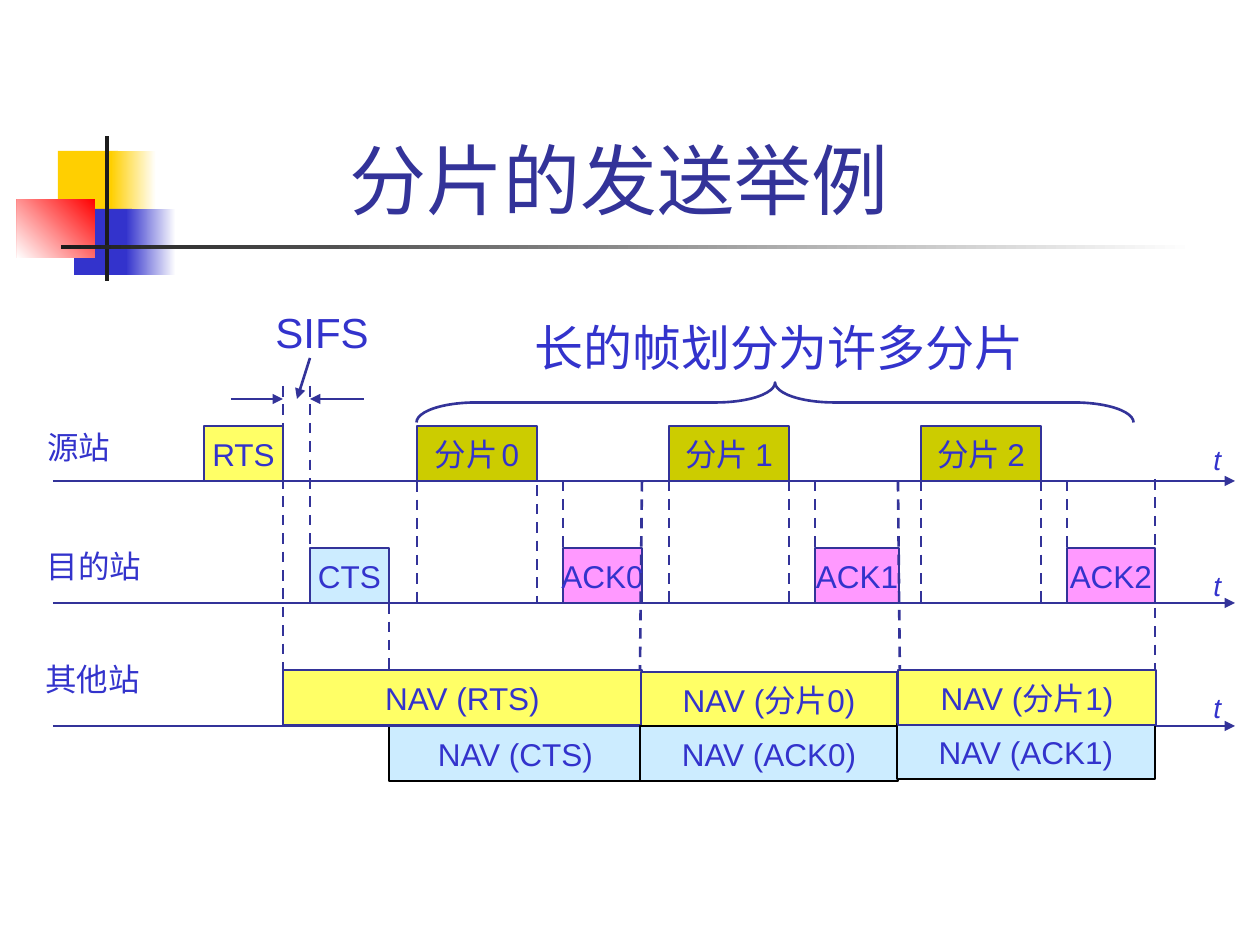
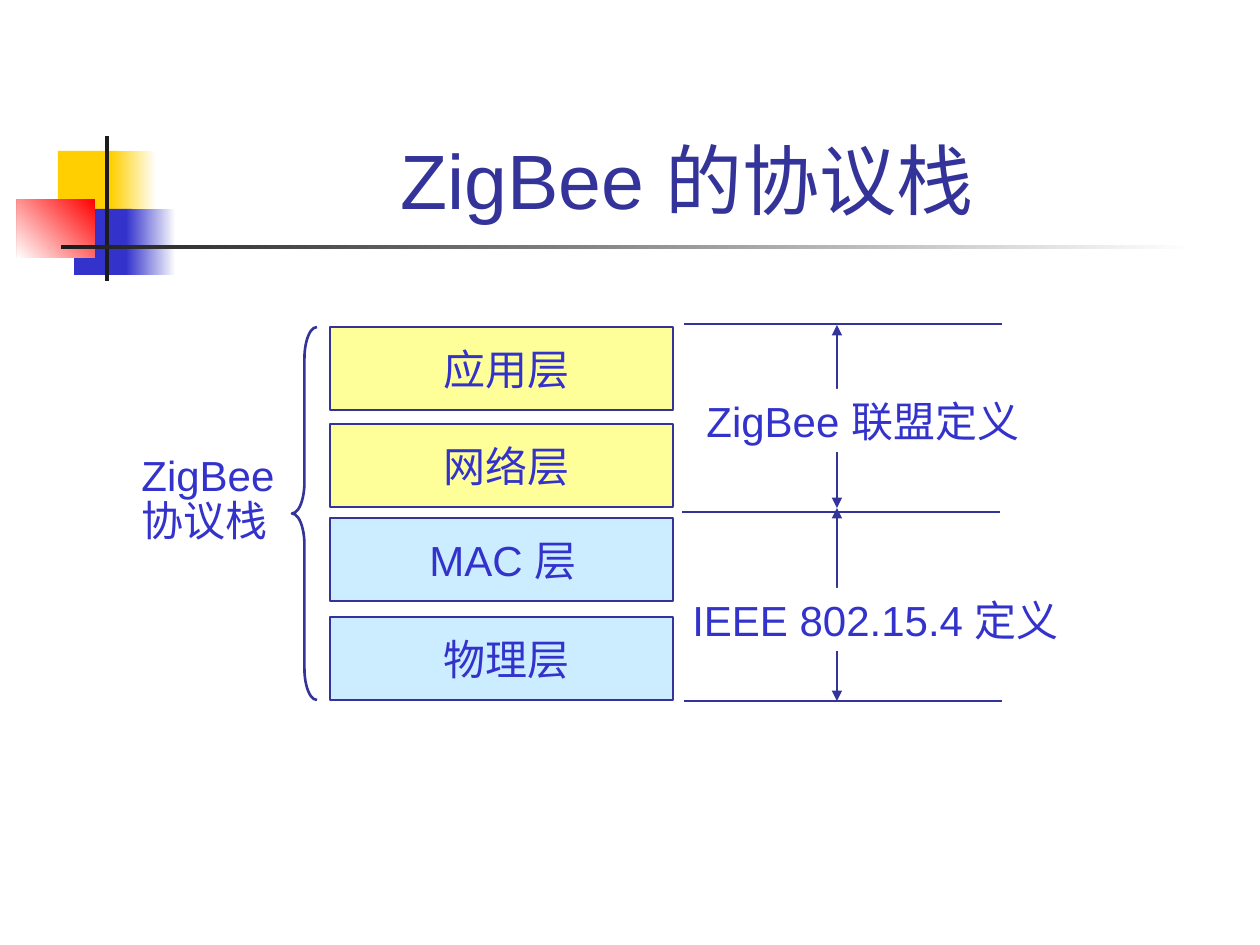
from lxml.etree import SubElement
from pptx import Presentation
from pptx.dml.color import RGBColor
from pptx.enum.dml import MSO_LINE
from pptx.enum.shapes import MSO_CONNECTOR, MSO_SHAPE
from pptx.enum.text import MSO_ANCHOR, PP_ALIGN
from pptx.oxml.ns import qn
from pptx.util import Emu, Inches, Pt

PIXELS_PER_INCH = 126
FONT = "Arial"

NAVY = RGBColor(0x33, 0x33, 0x99)
BLUE = RGBColor(0x33, 0x33, 0xCC)
GOLD = RGBColor(0xFF, 0xCF, 0x01)
RED = RGBColor(0xFF, 0x00, 0x00)
INK = RGBColor(0x1C, 0x1C, 0x1C)
BLACK = RGBColor(0x00, 0x00, 0x00)
WHITE = RGBColor(0xFF, 0xFF, 0xFF)
YELLOW = RGBColor(0xFF, 0xFF, 0x66)
PALE_YELLOW = RGBColor(0xFF, 0xFF, 0x99)
PALE_BLUE = RGBColor(0xCC, 0xEC, 0xFF)
OLIVE = RGBColor(0xCC, 0xCC, 0x00)
PINK = RGBColor(0xFF, 0x99, 0xFF)


def px(pixels):
    return Emu(round(pixels * Inches(1) / PIXELS_PER_INCH))


# Elements

def write(frame, lines, size=18, color=BLUE, align=PP_ALIGN.LEFT, anchor=MSO_ANCHOR.TOP,
          italic=False, wrap=True, spacing=None):
    """Each line is a string or a list of (text, size) spans."""
    frame.word_wrap = wrap
    frame.vertical_anchor = anchor
    for index, line in enumerate(lines):
        para = frame.paragraphs[0] if index == 0 else frame.add_paragraph()
        para.alignment = align
        para.line_spacing = spacing
        spans = [(line, size)] if isinstance(line, str) else line
        for text, span_size in spans:
            span = para.add_run()
            span.text = text
            span.font.name = FONT
            span.font.size = Pt(span_size)
            span.font.color.rgb = color
            span.font.italic = italic


def add_label(page, left, top, width, height, *lines, fill=None, **text_format):
    box = page.shapes.add_textbox(px(left), px(top), px(width), px(height))
    if fill is not None:
        box.fill.solid()
        box.fill.fore_color.rgb = fill
    write(box.text_frame, lines, **text_format)
    # Narrow side margins leave each line room to stay whole
    box.text_frame.margin_right = 0
    if text_format.get("align") == PP_ALIGN.CENTER:
        box.text_frame.margin_left = 0


def add_box(page, left, top, width, height, fill, line=NAVY, label=None):
    box = page.shapes.add_shape(MSO_SHAPE.RECTANGLE, px(left), px(top), px(width), px(height))
    box.shadow.inherit = False
    box.fill.solid()
    box.fill.fore_color.rgb = fill
    if line is None:
        box.line.fill.background()
    else:
        box.line.color.rgb = line
        box.line.width = Pt(0.74)
    if label:
        write(box.text_frame, [label], align=PP_ALIGN.CENTER, anchor=MSO_ANCHOR.MIDDLE,
              wrap=False)
    return box


def add_gradient(page, left, top, width, height, start, end, angle=180):
    box = add_box(page, left, top, width, height, start, line=None)
    box.fill.gradient()
    box.fill.gradient_angle = angle
    for stop, color in zip(box.fill.gradient_stops, (start, end)):
        stop.color.rgb = color


def add_line(page, x1, y1, x2, y2, dashed=False, ends=()):
    line = page.shapes.add_connector(MSO_CONNECTOR.STRAIGHT, px(x1), px(y1), px(x2), px(y2))
    line.line.color.rgb = NAVY
    line.line.width = Pt(1.5)
    if dashed:
        line.line.dash_style = MSO_LINE.DASH
    outline = line.line._get_or_add_ln()
    for end in ends:
        SubElement(outline, qn(f"a:{end}"), type="triangle")
    SubElement(line._element.spPr, qn("a:effectLst"))


def add_brace(page, left, top, width, height, curve, rotation=0):
    brace = page.shapes.add_shape(MSO_SHAPE.LEFT_BRACE, px(left), px(top), px(width), px(height))
    brace.shadow.inherit = False
    brace.fill.background()
    brace.line.color.rgb = NAVY
    brace.line.width = Pt(1.5)
    brace.adjustments[0] = curve
    brace.rotation = rotation


def add_page(deck, title, title_width):
    """A blank page with the shared ornament and title."""
    page = deck.slides.add_slide(deck.slide_layouts[6])
    add_box(page, 58, 151, 60, 66, GOLD, line=None)
    add_gradient(page, 111, 151, 45, 66, WHITE, GOLD)
    add_box(page, 74, 209, 58, 66, BLUE, line=None)
    add_gradient(page, 126, 209, 50, 66, WHITE, BLUE)
    add_gradient(page, 17, 199, 78, 59, RED, WHITE, angle=225)
    add_box(page, 105, 136, 4, 145, INK, line=None)
    add_gradient(page, 61, 245, 1134, 4, WHITE, INK)
    add_label(page, 159, 29, title_width, 202, title, size=44, color=NAVY,
              align=PP_ALIGN.CENTER, anchor=MSO_ANCHOR.BOTTOM)
    return page


# Slide 1: timing of a fragmented frame

def build_fragment_timing(deck):
    page = add_page(deck, "分片的发送举例 ", 937)
    source, target, others = 481, 603, 726
    box_height, period = 55, 252
    first_fragment, fragment_width, first_ack = 417, 120, 563

    # Station names and time axis names
    for left, top, width, name in ((35, 422, 88, "源站"), (34, 541, 120, "目的站"),
                                   (26, 654, 126, " 其他站")):
        add_label(page, left, top, width, 50, name, align=PP_ALIGN.CENTER)
    for top in (436, 562, 684):
        add_label(page, 1201, top, 33, 47, "t", size=16, italic=True)

    # Frames
    add_box(page, 204, source - box_height, 79, box_height, YELLOW, label="RTS")
    add_box(page, 310, target - box_height, 79, box_height, PALE_BLUE, label="CTS")
    fragment_names = ([("分片", 18), (" ", 10), ("0", 18)], "分片 1", "分片 2")
    for index, (name, ack_width) in enumerate(zip(fragment_names, (79, 84, 88))):
        add_box(page, first_fragment + index * period, source - box_height,
                fragment_width, box_height, OLIVE, label=name)
        add_box(page, first_ack + index * period, target - box_height,
                ack_width, box_height, PINK, label=f"ACK{index}")

    # Dashed time marks
    marks = [(283, 386, 283, 671), (310, 386, 310, target), (389, 548, 389, 671),
             (642, source, 640, 670), (898, source, 900, 683), (1155, 479, 1155, 670)]
    for index in range(3):
        start = first_fragment + index * period
        end = start + fragment_width
        ack = first_ack + index * period
        marks += [(start, source if index else 426, start, target),
                  (end, source if index else 467, end, target),
                  (ack, source, ack, target)]
    for mark in marks:
        add_line(page, *mark, dashed=True)

    # SIFS gap and the brace over the fragments
    for arrow in ((231, 399, 283, 399), (364, 399, 310, 399), (310, 358, 297, 399)):
        add_line(page, *arrow, ends=["tailEnd"])
    add_label(page, 263, 300, 118, 63, "SIFS", size=24)
    add_brace(page, 755, 44, 40, 717, 1.48, rotation=90)
    add_label(page, 522, 311, 514, 72, "长的帧划分为许多分片", size=28)

    # NAV periods: the first pair lies under the axes
    periods = (
        (283, 670, 359, YELLOW, NAVY, "NAV (RTS)"),
        (389, 726, 253, PALE_BLUE, BLACK, "NAV (CTS)"),
        (641, 672, 256, YELLOW, NAVY, "NAV (分片0)"),
        (640, 726, 258, PALE_BLUE, BLACK, "NAV (ACK0)"),
        (897, 724, 258, PALE_BLUE, BLACK, "NAV (ACK1)"),
        (898, 670, 258, YELLOW, NAVY, "NAV (分片1)"),
    )
    for index, (left, top, width, fill, line, name) in enumerate(periods):
        if index == 2:
            for axis in (others, target, source):
                add_line(page, 53, axis, 1235, axis, ends=["tailEnd"])
        add_box(page, left, top, width, box_height, fill, line, name)


# Slide 2: protocol stack

def build_protocol_stack(deck):
    page = add_page(deck, "ZigBee 的协议栈 ", 1074)

    # Layers
    for top, fill, left, width, name in (
            (327, PALE_YELLOW, 431, 151, "应用层"), (424, PALE_YELLOW, 431, 151, "网络层"),
            (518, PALE_BLUE, 417, 181, "MAC 层"), (617, PALE_BLUE, 431, 151, "物理层")):
        add_box(page, 330, top, 343, 83, fill)
        add_label(page, left, top + 10, width, 63, name, size=24)

    # Who defines which layers
    for left, top in ((684, 324), (682, 512), (684, 701)):
        add_line(page, left, top, left + 318, top)
    for top, bottom, left, label_top, width, name in (
            (508, 701, 680, 588, 402, "IEEE 802.15.4 定义"),
            (325, 508, 694, 389, 348, "ZigBee 联盟定义")):
        add_line(page, 837, top, 837, bottom, ends=["headEnd", "tailEnd"])
        add_label(page, left, label_top, width, 63, name, size=24, fill=WHITE)

    # The whole stack
    add_brace(page, 292, 327, 25, 373, 1.25)
    add_label(page, 129, 449, 158, 103, "ZigBee", "协议栈", size=24, spacing=0.9)


def main():
    deck = Presentation()
    deck.slide_width, deck.slide_height = Inches(10), Inches(7.5)
    build_fragment_timing(deck)
    build_protocol_stack(deck)
    deck.save("out.pptx")


main()
